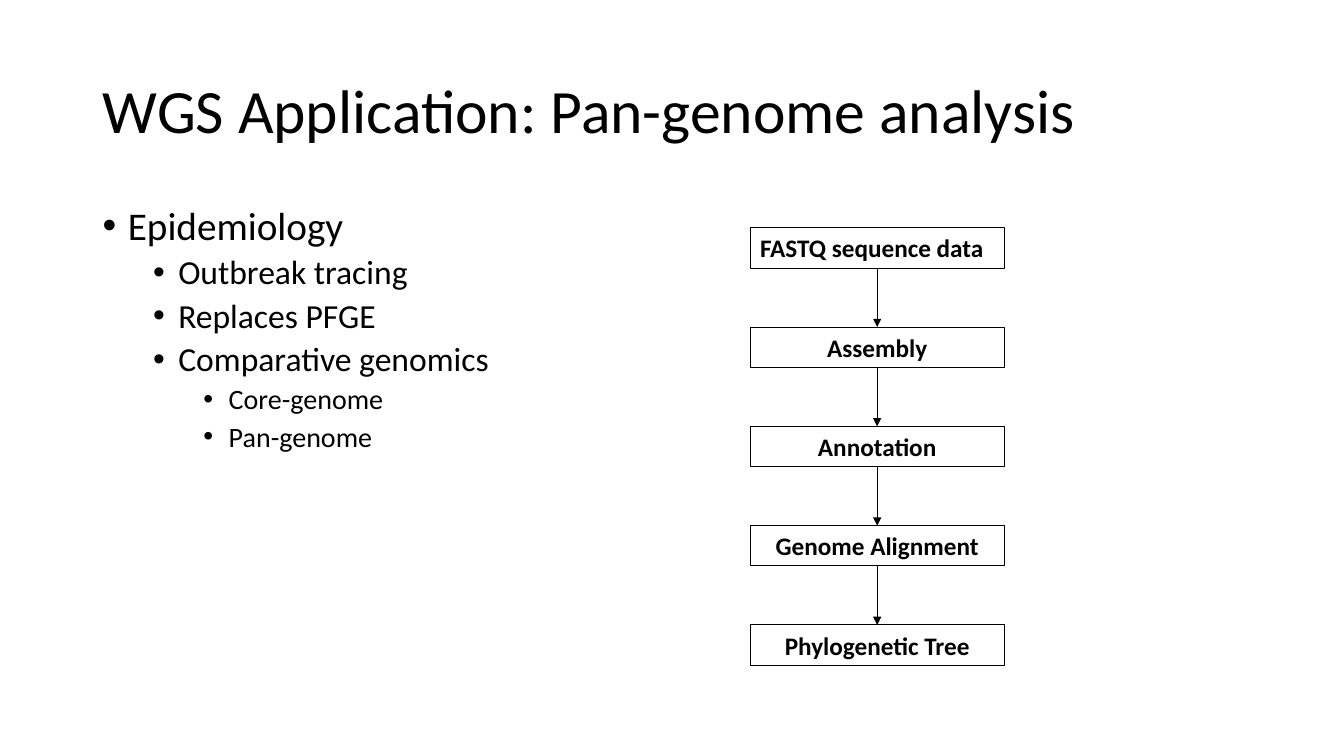
from lxml.etree import SubElement
from pptx import Presentation
from pptx.dml.color import RGBColor
from pptx.enum.shapes import MSO_CONNECTOR, MSO_SHAPE
from pptx.enum.text import MSO_ANCHOR, PP_ALIGN
from pptx.oxml.ns import qn
from pptx.util import Inches, Pt

STEPS = ["FASTQ sequence data", "Assembly", "Annotation", "Genome Alignment", "Phylogenetic Tree"]
TOPICS = [
    (0, "Epidemiology"),
    (1, "Outbreak tracing"),
    (1, "Replaces PFGE"),
    (1, "Comparative genomics"),
    (2, "Core-genome"),
    (2, "Pan-genome"),
]


def color(value):
    """Turn a hex string into a colour."""
    return RGBColor.from_string(value)


def write(p, text, size=18, bold=False, align=PP_ALIGN.LEFT, spacing=1.0, before=0,
          font="Calibri", fill="000000"):
    """Add formatted text to a paragraph."""
    p.alignment, p.line_spacing, p.space_before = align, spacing, Pt(before)
    r = p.add_run()
    r.text = text
    r.font.name, r.font.size, r.font.bold = font, Pt(size), bold
    r.font.color.rgb = color(fill)


class Deck:
    """Hold the slide and the shared style."""

    ink = "000000"
    sizes = (28, 24, 20)

    def __init__(self, prs):
        """Add a title-only slide."""
        self.s = prs.slides.add_slide(prs.slide_layouts[5])

    def title(self, text, x, y, w, h):
        """Place and fill the title."""
        sp = self.s.shapes.title
        sp.left, sp.top, sp.width, sp.height = map(Inches, (x, y, w, h))
        tf = sp.text_frame
        tf.word_wrap, tf.vertical_anchor = True, MSO_ANCHOR.MIDDLE
        write(tf.paragraphs[0], text, size=44, spacing=0.9)

    def bullets(self, items, x, y, w, h):
        """Add a bulleted list of (level, text) items."""
        tf = self.s.shapes.add_textbox(*map(Inches, (x, y, w, h))).text_frame
        tf.word_wrap = True
        for i, (level, text) in enumerate(items):
            p = tf.add_paragraph() if i else tf.paragraphs[0]
            p.level = level
            write(p, text, size=self.sizes[level], spacing=0.9, before=5 if level else 10)
            pPr = p._p.get_or_add_pPr()
            pPr.set("marL", str(Inches(0.25 + 0.5 * level)))
            pPr.set("indent", str(Inches(-0.25)))
            SubElement(pPr, qn("a:buFont"), typeface="Arial")
            SubElement(pPr, qn("a:buChar"), char="•")

    def box(self, text, x, y, w, h, align):
        """Add an outlined box with bold text."""
        sp = self.s.shapes.add_shape(MSO_SHAPE.RECTANGLE, *map(Inches, (x, y, w, h)))
        sp.shadow.inherit = False
        sp.fill.background()
        sp.line.color.rgb, sp.line.width = color(self.ink), Pt(0.75)
        tf = sp.text_frame
        tf.word_wrap, tf.vertical_anchor = True, MSO_ANCHOR.TOP
        write(tf.paragraphs[0], text, bold=True, align=align)

    def arrow(self, x, top, bottom):
        """Add a downward arrow."""
        c = self.s.shapes.add_connector(MSO_CONNECTOR.STRAIGHT, *map(Inches, (x, top, x, bottom)))
        c.line.color.rgb, c.line.width = color(self.ink), Pt(0.5)
        SubElement(c.line._get_or_add_ln(), qn("a:tailEnd"), type="triangle")
        SubElement(c._element.spPr, qn("a:effectLst"))


def main():
    """Build and save the slide."""
    prs = Presentation()
    prs.slide_width, prs.slide_height = Inches(13.33), Inches(7.5)
    deck = Deck(prs)
    deck.title("WGS Application: Pan-genome analysis", 0.92, 0.4, 11.5, 1.45)
    deck.bullets(TOPICS, 0.92, 2, 11.5, 4.76)

    left, top, width, height, pitch = 7.44, 2.26, 2.52, 0.4, 0.985
    for i, step in enumerate(STEPS):
        y = top + i * pitch
        deck.box(step, left, y, width, height, PP_ALIGN.CENTER if i else PP_ALIGN.LEFT)
        if i:
            deck.arrow(left + width / 2, y - pitch + height, y)
    prs.save("out.pptx")


if __name__ == "__main__":
    main()
